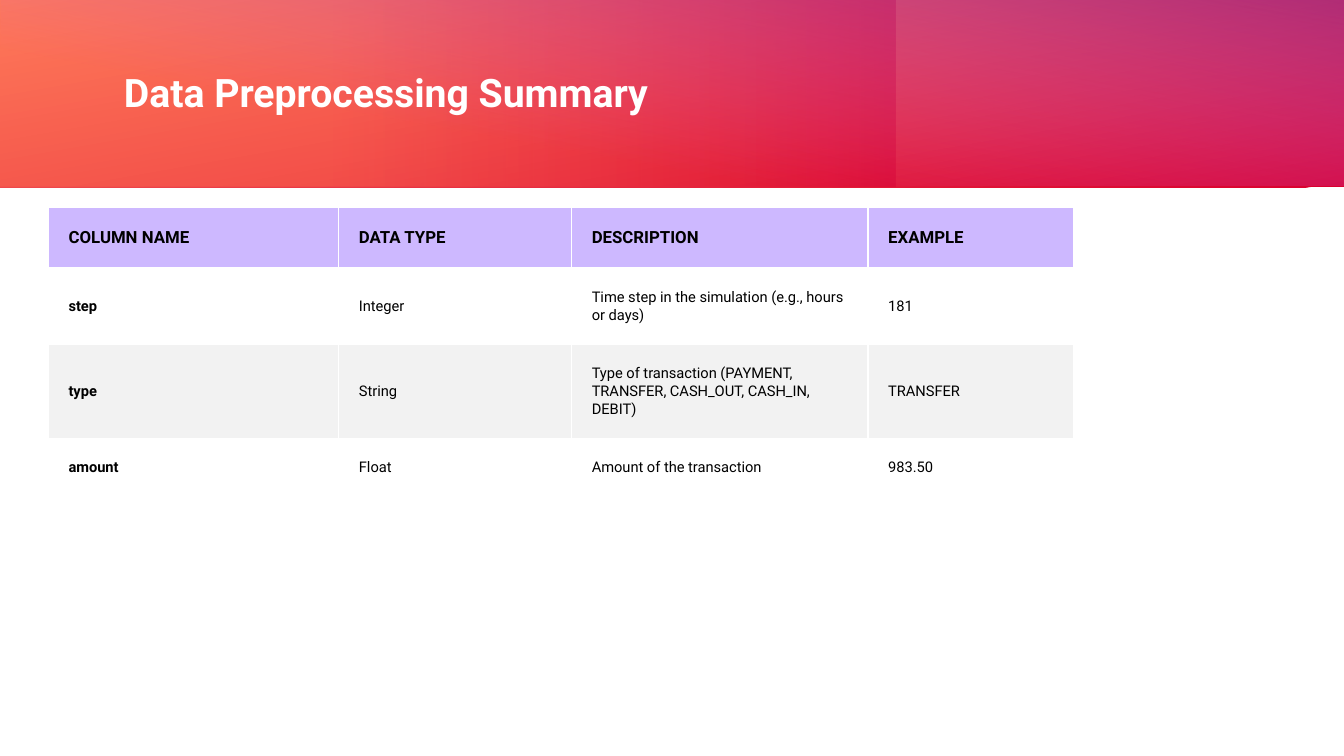
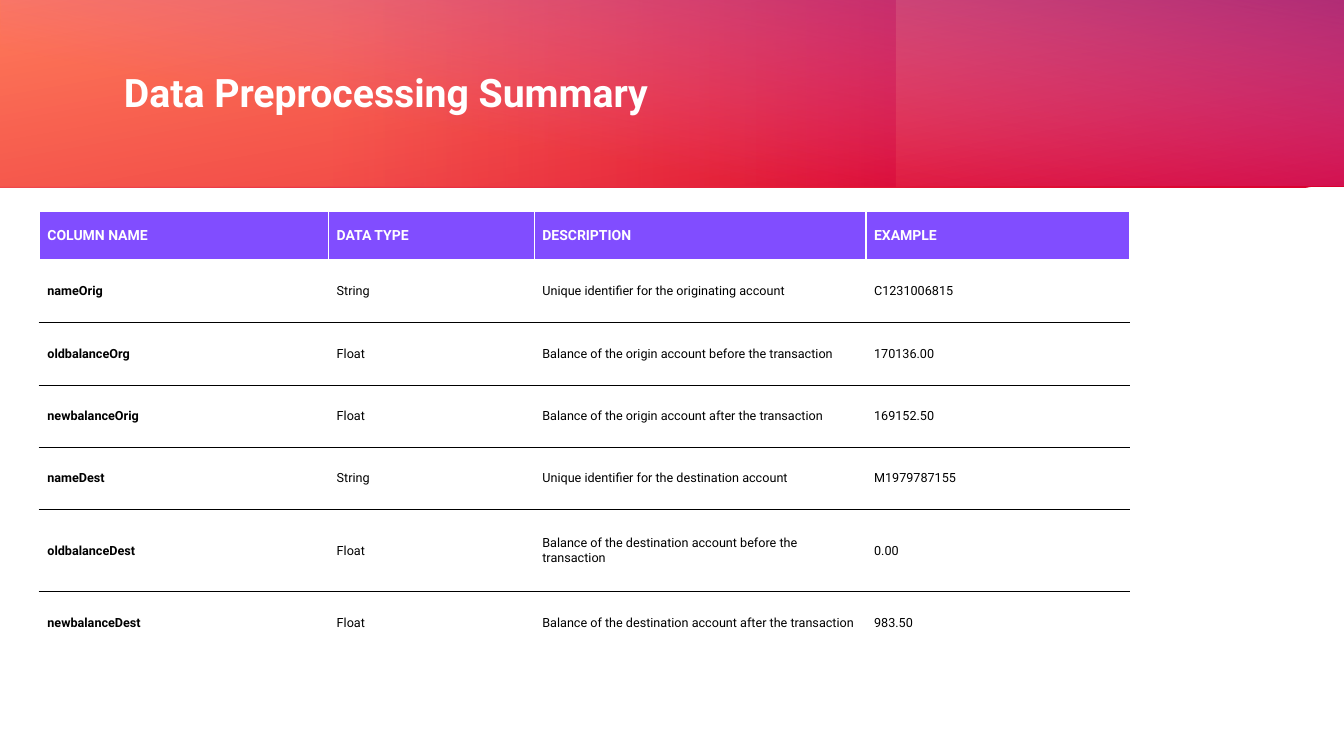
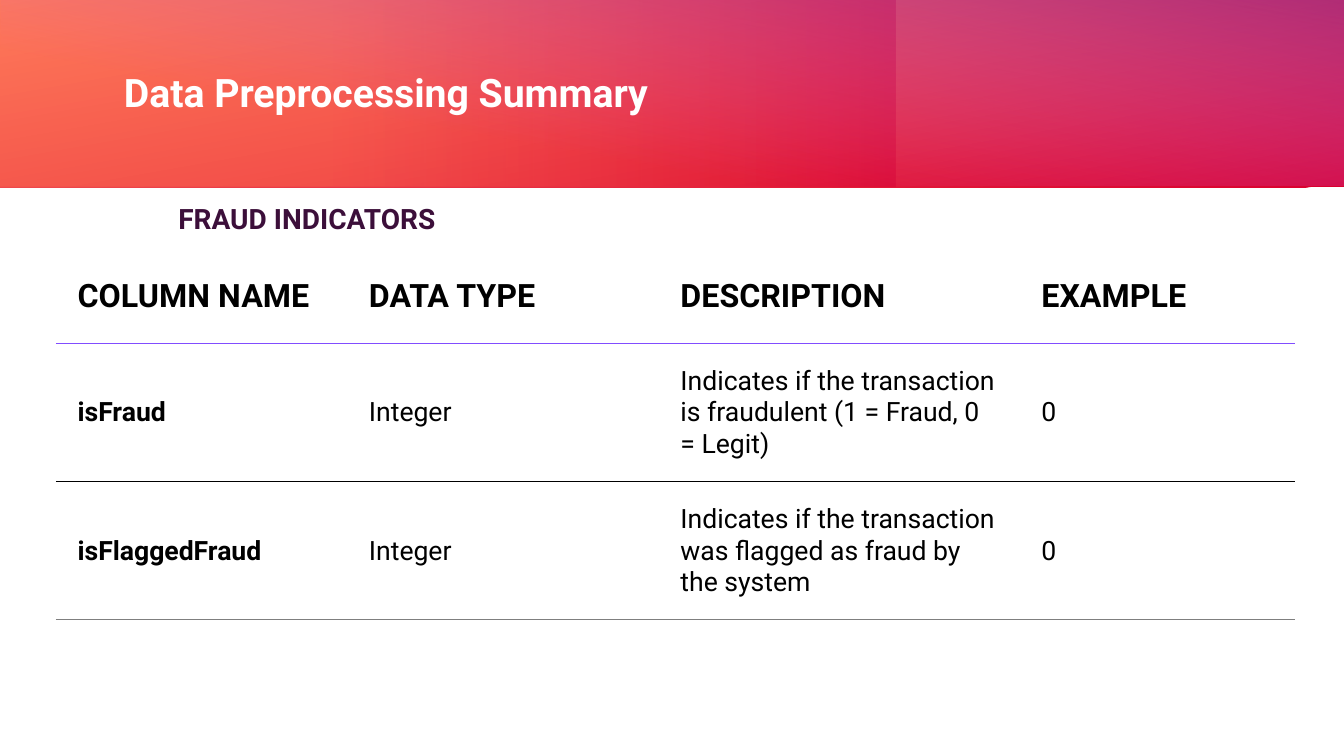
"""Build three slides that summarise the columns of a transaction data set."""
from dataclasses import dataclass
from itertools import pairwise
from typing import NamedTuple

from pptx import Presentation
from pptx.dml.color import RGBColor
from pptx.enum.shapes import MSO_SHAPE
from pptx.enum.text import MSO_ANCHOR
from pptx.oxml import parse_xml
from pptx.oxml.ns import nsdecls
from pptx.util import Inches, Pt

RECTANGLE = MSO_SHAPE.RECTANGLE
MIDDLE = MSO_ANCHOR.MIDDLE
BOTTOM = MSO_ANCHOR.BOTTOM

FONT = "Roboto"
WHITE = "FFFFFF"
BLACK = "000000"
LILAC = "CDB8FF"
VIOLET = "814DFF"
PLUM = "3C0F3A"
PALE_GREY = "F2F2F2"
MID_GREY = "7F7F7F"

TITLE = "Data Preprocessing Summary"
HEADINGS = ("COLUMN NAME", "DATA TYPE", "DESCRIPTION", "EXAMPLE")


class Box(NamedTuple):
    left: float
    top: float
    width: float
    height: float


class Stop(NamedTuple):
    position: int
    colour: str
    opacity: int = 100


class Band(NamedTuple):
    box: Box
    angle: int
    stops: tuple[Stop, ...]


class TextStyle(NamedTuple):
    size: float
    colour: str
    spacing: float | Pt
    bold: bool = False


class Rule(NamedTuple):
    colour: str
    width: float


@dataclass(frozen=True)
class ColumnTable:
    left: float
    top: float
    widths: tuple[float, ...]
    heights: tuple[float, ...]
    inset: float
    header: TextStyle
    body: TextStyle
    rules: tuple[Rule, ...]
    rows: tuple[tuple[str, ...], ...]
    header_fill: str | None = None
    stripe_fill: str | None = None


BANDS = (
    Band(Box(-0.01, 0, 13.35, 1.86), 260, (Stop(0, "DA002F"), Stop(100, "FF8463"))),
    Band(Box(-0.01, 0, 8.89, 1.85), 0, (Stop(37, "FF6C4F", 42), Stop(99, "DA002F", 50))),
    Band(Box(0.01, -0.01, 13.34, 1.85), 280, (Stop(32, "D861D4", 0), Stop(100, "93258E", 66))),
)
TITLE_BOX = Box(1.13, 0.38, 10.8, 1.13)
TITLE_STYLE = TextStyle(28, WHITE, 0.9, True)
SUBTITLE_BOX = Box(1.67, 1.87, 9.9, 0.51)
SUBTITLE_STYLE = TextStyle(20, PLUM, 0.8, True)

WHITE_RULE = Rule(WHITE, 1)
BLACK_RULE = Rule(BLACK, 0.75)
VIOLET_RULE = Rule(VIOLET, 1.03)
GREY_RULE = Rule(MID_GREY, 0.75)

TRANSACTION = ColumnTable(
    left=0.48,
    top=2.06,
    widths=(2.88, 2.31, 2.94, 2.04),
    heights=(0.59, 0.75, 0.91, 0.58),
    inset=0.2,
    header=TextStyle(12, BLACK, Pt(14.2), True),
    body=TextStyle(10.5, BLACK, Pt(12.8)),
    rules=(WHITE_RULE,) * 5,
    header_fill=LILAC,
    stripe_fill=PALE_GREY,
    rows=(
        HEADINGS,
        ("step", "Integer", "Time step in the simulation (e.g., hours or days)", "181"),
        ("type", "String", "Type of transaction (PAYMENT, TRANSFER, CASH_OUT, CASH_IN, DEBIT)", "TRANSFER"),
        ("amount", "Float", "Amount of the transaction", "983.50"),
    ),
)
ACCOUNTS = ColumnTable(
    left=0.39,
    top=2.1,
    widths=(2.87, 2.04, 3.29, 2.61),
    heights=(0.48, 0.62, 0.62, 0.62, 0.62, 0.81, 0.62),
    inset=0.08,
    header=TextStyle(10, WHITE, Pt(12), True),
    body=TextStyle(9, BLACK, Pt(10.5)),
    rules=(WHITE_RULE,) * 2 + (BLACK_RULE,) * 5 + (WHITE_RULE,),
    header_fill=VIOLET,
    rows=(
        HEADINGS,
        ("nameOrig", "String", "Unique identifier for the originating account", "C1231006815"),
        ("oldbalanceOrg", "Float", "Balance of the origin account before the transaction", "170136.00"),
        ("newbalanceOrig", "Float", "Balance of the origin account after the transaction", "169152.50"),
        ("nameDest", "String", "Unique identifier for the destination account", "M1979787155"),
        ("oldbalanceDest", "Float", "Balance of the destination account before the transaction", "0.00"),
        ("newbalanceDest", "Float", "Balance of the destination account after the transaction", "983.50"),
    ),
)
FRAUD = ColumnTable(
    left=0.56,
    top=2.46,
    widths=(2.89, 3.09, 3.58, 2.72),
    heights=(0.95, 1.37, 1.37),
    inset=0.21,
    header=TextStyle(23, BLACK, Pt(27.8), True),
    body=TextStyle(19, BLACK, Pt(22.5)),
    rules=(WHITE_RULE, VIOLET_RULE, BLACK_RULE, GREY_RULE),
    rows=(
        HEADINGS,
        ("isFraud", "Integer", "Indicates if the transaction is fraudulent (1 = Fraud, 0 = Legit)", "0"),
        ("isFlaggedFraud", "Integer", "Indicates if the transaction was flagged as fraud by the system", "0"),
    ),
)


def rgb(colour: str) -> RGBColor:
    return RGBColor.from_string(colour)


def inches(box: Box) -> tuple[Inches, ...]:
    return tuple(Inches(length) for length in box)


def write(text_frame, text: str, style: TextStyle) -> None:
    text_frame.text = text
    text_frame.word_wrap = True
    paragraph = text_frame.paragraphs[0]
    paragraph.line_spacing = style.spacing
    font = paragraph.runs[0].font
    font.name = FONT
    font.size = Pt(style.size)
    font.bold = style.bold
    font.color.rgb = rgb(style.colour)


def add_band(slide, band: Band) -> None:
    shape = slide.shapes.add_shape(RECTANGLE, *inches(band.box))
    shape.shadow.inherit = False
    shape.line.fill.background()
    stops = "".join(
        f'<a:gs pos="{stop.position * 1000}"><a:srgbClr val="{stop.colour}">'
        f'<a:alpha val="{stop.opacity * 1000}"/></a:srgbClr></a:gs>'
        for stop in band.stops
    )
    gradient = parse_xml(
        f'<a:gradFill {nsdecls("a")} rotWithShape="1"><a:gsLst>{stops}</a:gsLst>'
        f'<a:lin ang="{band.angle * 60000}" scaled="0"/></a:gradFill>'
    )
    shape.element.spPr.insert(2, gradient)


def add_heading(slide, text: str, box: Box, style: TextStyle, anchor: MSO_ANCHOR) -> None:
    text_frame = slide.shapes.add_textbox(*inches(box)).text_frame
    text_frame.vertical_anchor = anchor
    write(text_frame, text, style)


def set_borders(cell, above: Rule, below: Rule) -> None:
    sides = {"lnL": WHITE_RULE, "lnR": WHITE_RULE, "lnT": above, "lnB": below}
    properties = cell._tc.get_or_add_tcPr()
    for index, (side, rule) in enumerate(sides.items()):
        border = parse_xml(
            f'<a:{side} {nsdecls("a")} w="{Pt(rule.width)}"><a:solidFill>'
            f'<a:srgbClr val="{rule.colour}"/></a:solidFill></a:{side}>'
        )
        properties.insert(index, border)


def set_fill(cell, colour: str | None) -> None:
    if colour is None:
        cell.fill.background()
    else:
        cell.fill.solid()
        cell.fill.fore_color.rgb = rgb(colour)


def add_column_table(slide, spec: ColumnTable) -> None:
    box = Box(spec.left, spec.top, sum(spec.widths), sum(spec.heights))
    table = slide.shapes.add_table(len(spec.rows), len(spec.widths), *inches(box)).table
    table.first_row = False
    table.horz_banding = False
    for column, width in zip(table.columns, spec.widths):
        column.width = Inches(width)
    for row, height in zip(table.rows, spec.heights):
        row.height = Inches(height)
    inset = Inches(spec.inset)
    for row_index, (texts, (above, below)) in enumerate(zip(spec.rows, pairwise(spec.rules))):
        is_header = row_index == 0
        striped = spec.stripe_fill if row_index % 2 == 0 else None
        for column_index, text in enumerate(texts):
            cell = table.cell(row_index, column_index)
            cell.margin_left = cell.margin_right = inset
            cell.margin_top = cell.margin_bottom = inset
            cell.vertical_anchor = MIDDLE
            body = spec.body._replace(bold=column_index == 0)
            write(cell.text_frame, text, spec.header if is_header else body)
            set_fill(cell, spec.header_fill if is_header else striped)
            set_borders(cell, above, below)


def add_summary_slide(presentation, spec: ColumnTable, subtitle: str | None = None) -> None:
    slide = presentation.slides.add_slide(presentation.slide_layouts[6])
    for band in BANDS:
        add_band(slide, band)
    add_heading(slide, TITLE, TITLE_BOX, TITLE_STYLE, MIDDLE)
    add_column_table(slide, spec)
    if subtitle:
        add_heading(slide, subtitle, SUBTITLE_BOX, SUBTITLE_STYLE, BOTTOM)


def main() -> None:
    presentation = Presentation()
    presentation.slide_width = Inches(13.33)
    presentation.slide_height = Inches(7.5)
    add_summary_slide(presentation, TRANSACTION)
    add_summary_slide(presentation, ACCOUNTS)
    add_summary_slide(presentation, FRAUD, "FRAUD INDICATORS")
    presentation.save("out.pptx")


if __name__ == "__main__":
    main()
